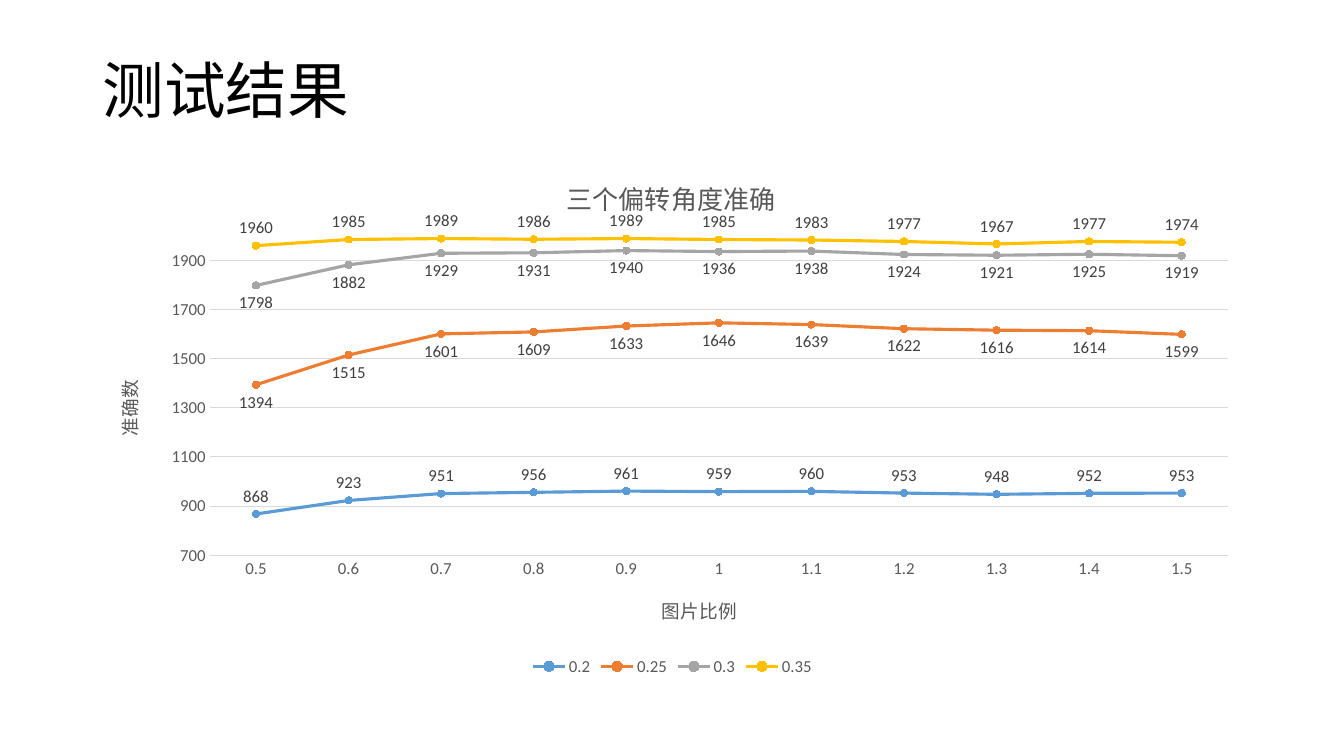
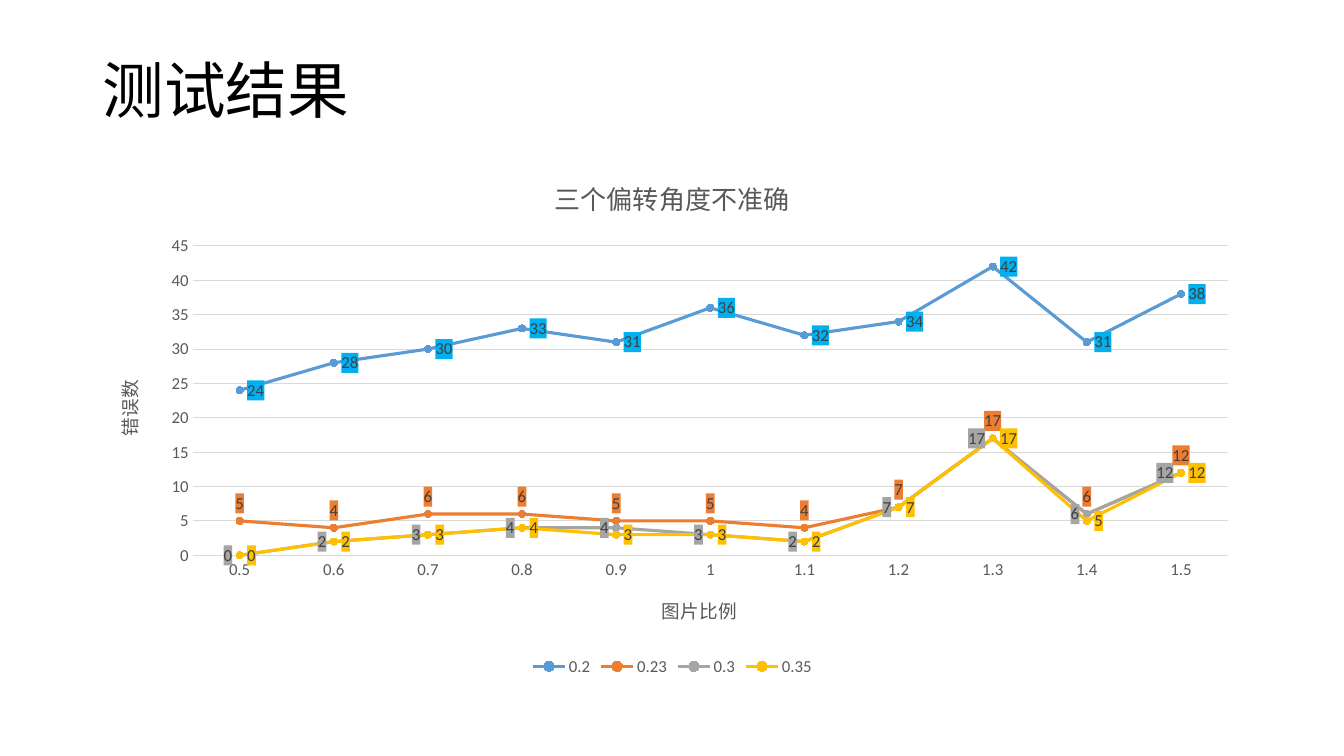
import dataclasses
from typing import Any, Optional

import lxml.etree
import pptx
import pptx.chart.axis
import pptx.chart.chart
import pptx.chart.data
import pptx.chart.series
import pptx.dml.color
import pptx.enum.chart
import pptx.enum.text
import pptx.oxml.ns
import pptx.presentation
import pptx.slide
import pptx.text.text
import pptx.util

Inches = pptx.util.Inches
Pt = pptx.util.Pt
RGBColor = pptx.dml.color.RGBColor
Position = pptx.enum.chart.XL_LABEL_POSITION
qn = pptx.oxml.ns.qn

FONT = "Calibri"
BLACK = RGBColor(0x00, 0x00, 0x00)
GRAY_TEXT = RGBColor(0x59, 0x59, 0x59)
LABEL_TEXT = RGBColor(0x40, 0x40, 0x40)
GRID = RGBColor(0xD9, 0xD9, 0xD9)
BLUE = RGBColor(0x5B, 0x9B, 0xD5)
BRIGHT_BLUE = RGBColor(0x00, 0xB0, 0xF0)
ORANGE = RGBColor(0xED, 0x7D, 0x31)
GRAY = RGBColor(0xA5, 0xA5, 0xA5)
YELLOW = RGBColor(0xFF, 0xC0, 0x00)

SLIDE_TITLE = "测试结果"
CATEGORY_TITLE = "图片比例"
SCALES = [f"{step / 10:g}" for step in range(5, 16)]
LEFT, WIDTH = Inches(0.92), Inches(11.5)
CHART_HEIGHT = Inches(5.21)
PLOT_RIGHT, PLOT_BOTTOM = Inches(11.26), Inches(3.97)


@dataclasses.dataclass
class Line:
    name: str
    values: tuple[int, ...]
    color: RGBColor
    label_position: Position
    label_fill: Optional[RGBColor] = None


@dataclasses.dataclass
class Result:
    title: str
    title_left: int
    value_title: str
    minimum: int
    maximum: int
    unit: int
    plot_left: int
    plot_top: int
    lines: list[Line]


RESULTS = [
    Result(
        "三个偏转角度准确", Inches(4.65), "准确数", 700, 2000, 200,
        Inches(1.16), Inches(0.8),
        [
            Line("0.2", (868, 923, 951, 956, 961, 959, 960, 953, 948, 952, 953),
                 BLUE, Position.ABOVE),
            Line("0.25", (1394, 1515, 1601, 1609, 1633, 1646, 1639, 1622, 1616, 1614, 1599),
                 ORANGE, Position.BELOW),
            Line("0.3", (1798, 1882, 1929, 1931, 1940, 1936, 1938, 1924, 1921, 1925, 1919),
                 GRAY, Position.BELOW),
            Line("0.35", (1960, 1985, 1989, 1986, 1989, 1985, 1983, 1977, 1967, 1977, 1974),
                 YELLOW, Position.ABOVE),
        ],
    ),
    Result(
        "三个偏转角度不准确", Inches(4.53), "错误数", 0, 45, 5,
        Inches(0.99), Inches(0.9),
        [
            Line("0.2", (24, 28, 30, 33, 31, 36, 32, 34, 42, 31, 38),
                 BLUE, Position.RIGHT, BRIGHT_BLUE),
            Line("0.23", (5, 4, 6, 6, 5, 5, 4, 7, 17, 6, 12),
                 ORANGE, Position.ABOVE, ORANGE),
            Line("0.3", (0, 2, 3, 4, 4, 3, 2, 7, 17, 6, 12),
                 GRAY, Position.LEFT, GRAY),
            Line("0.35", (0, 2, 3, 4, 3, 3, 2, 7, 17, 5, 12),
                 YELLOW, Position.RIGHT, YELLOW),
        ],
    ),
]


def set_font(font: pptx.text.text.Font, size: float, color: RGBColor) -> None:
    font.name = FONT
    font.size = Pt(size)
    font.bold = False
    font.color.rgb = color


def set_layout(element: Any, index: int, left: int, top: int,
               size: Optional[tuple[int, int]] = None) -> None:
    for old_layout in element.findall(qn("c:layout")):
        element.remove(old_layout)
    layout = lxml.etree.Element(qn("c:layout"))
    manual = lxml.etree.SubElement(layout, qn("c:manualLayout"))
    settings: dict[str, Any] = {
        "xMode": "edge", "yMode": "edge", "x": left / WIDTH, "y": top / CHART_HEIGHT,
    }
    if size is not None:
        width, height = size
        settings = {"layoutTarget": "inner", **settings,
                    "w": width / WIDTH, "h": height / CHART_HEIGHT}
    for name, value in settings.items():
        lxml.etree.SubElement(manual, qn(f"c:{name}")).set("val", str(value))
    element.insert(index, layout)


def set_title(title: Any, text: str, size: float, left: int, top: int) -> None:
    title.text_frame.text = text
    set_font(title.text_frame.paragraphs[0].runs[0].font, size, GRAY_TEXT)
    set_layout(title._element, 1, left, top)


def style_axis(axis: Any) -> None:
    axis.major_tick_mark = pptx.enum.chart.XL_TICK_MARK.NONE
    axis.minor_tick_mark = pptx.enum.chart.XL_TICK_MARK.NONE
    set_font(axis.tick_labels.font, 12, GRAY_TEXT)


def style_line(series: pptx.chart.series.LineSeries, line: Line) -> None:
    series.smooth = False
    series.format.line.color.rgb = line.color
    series.format.line.width = Pt(2.25)
    series.marker.style = pptx.enum.chart.XL_MARKER_STYLE.CIRCLE
    series.marker.size = 5
    series.marker.format.fill.solid()
    series.marker.format.fill.fore_color.rgb = line.color
    series.marker.format.line.color.rgb = line.color
    labels = series.data_labels
    labels.show_value = True
    labels.position = line.label_position
    set_font(labels.font, 12, LABEL_TEXT)
    if line.label_fill is not None:
        properties = lxml.etree.Element(qn("c:spPr"))
        fill = lxml.etree.SubElement(properties, qn("a:solidFill"))
        lxml.etree.SubElement(fill, qn("a:srgbClr")).set("val", str(line.label_fill))
        labels._element.find(qn("c:txPr")).addprevious(properties)


def add_slide_title(slide: pptx.slide.Slide) -> None:
    shape = slide.shapes.add_textbox(LEFT, Inches(0.4), WIDTH, Inches(1.05))
    frame = shape.text_frame
    frame.word_wrap = True
    frame.vertical_anchor = pptx.enum.text.MSO_ANCHOR.MIDDLE
    frame.text = SLIDE_TITLE
    paragraph = frame.paragraphs[0]
    paragraph.line_spacing = 0.9
    set_font(paragraph.runs[0].font, 44, BLACK)


def add_result_chart(slide: pptx.slide.Slide, result: Result) -> None:
    data = pptx.chart.data.CategoryChartData()
    data.categories = SCALES
    for line in result.lines:
        data.add_series(line.name, line.values)
    chart = slide.shapes.add_chart(
        pptx.enum.chart.XL_CHART_TYPE.LINE_MARKERS,
        LEFT, Inches(1.54), WIDTH, CHART_HEIGHT, data,
    ).chart
    set_font(chart.font, 10, BLACK)
    chart.has_title = True
    set_title(chart.chart_title, result.title, 18.6, result.title_left, Inches(0.16))

    chart.has_legend = True
    chart.legend.position = pptx.enum.chart.XL_LEGEND_POSITION.BOTTOM
    chart.legend.include_in_layout = False
    set_font(chart.legend.font, 12, GRAY_TEXT)

    category_axis = chart.category_axis
    style_axis(category_axis)
    category_axis.format.line.color.rgb = GRID
    category_axis.format.line.width = Pt(0.75)
    set_title(category_axis.axis_title, CATEGORY_TITLE, 13.3, Inches(5.61), Inches(4.32))

    value_axis = chart.value_axis
    style_axis(value_axis)
    value_axis.format.line.fill.background()
    value_axis.minimum_scale = result.minimum
    value_axis.maximum_scale = result.maximum
    value_axis.major_unit = result.unit
    value_axis.has_major_gridlines = True
    value_axis.major_gridlines.format.line.color.rgb = GRID
    value_axis.major_gridlines.format.line.width = Pt(0.75)
    set_title(value_axis.axis_title, result.value_title, 13.3, Inches(0.17), Inches(2.19))

    chart.plots[0].vary_by_categories = False
    for series, line in zip(chart.plots[0].series, result.lines):
        style_line(series, line)
    plot_size = (PLOT_RIGHT - result.plot_left, PLOT_BOTTOM - result.plot_top)
    set_layout(chart._chartSpace.chart.plotArea, 0,
               result.plot_left, result.plot_top, plot_size)


def main() -> None:
    presentation = pptx.Presentation()
    presentation.slide_width = Inches(13.33)
    presentation.slide_height = Inches(7.5)
    for result in RESULTS:
        slide = presentation.slides.add_slide(presentation.slide_layouts[6])
        add_slide_title(slide)
        add_result_chart(slide, result)
    presentation.save("out.pptx")


if __name__ == "__main__":
    main()
